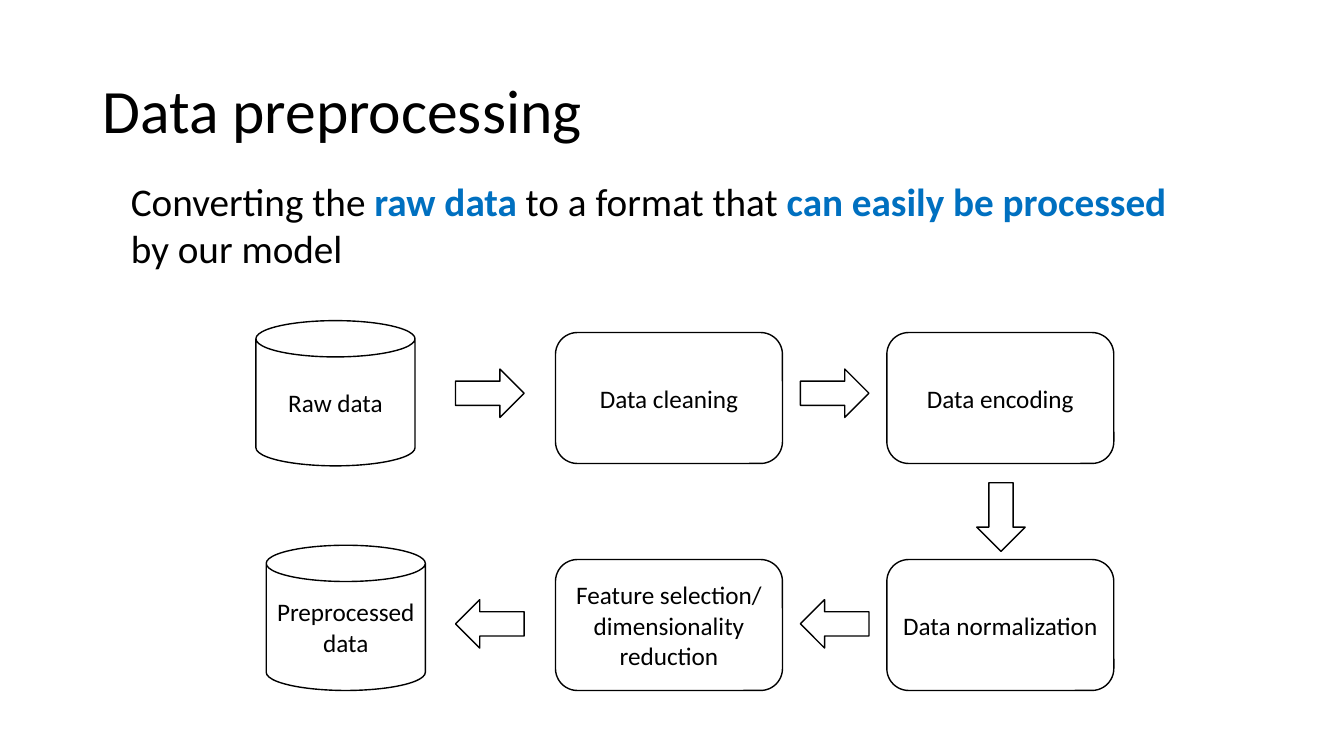
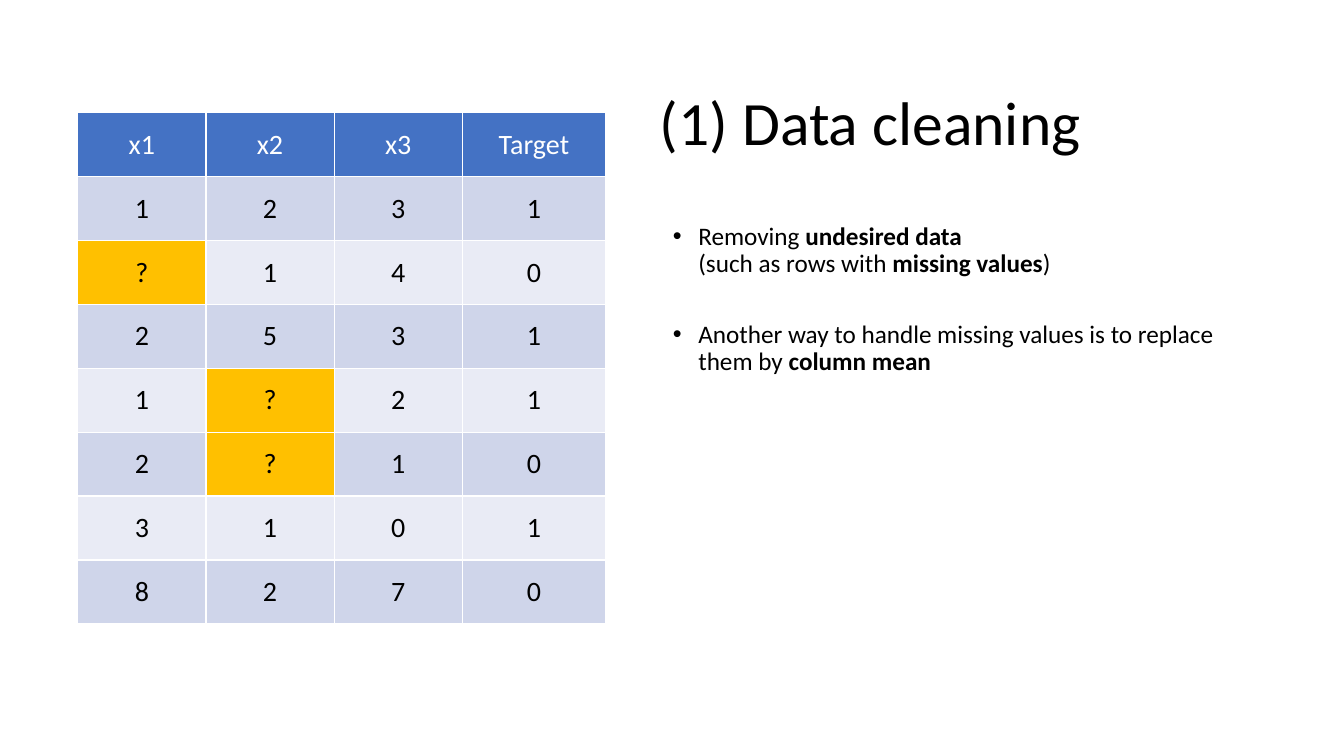
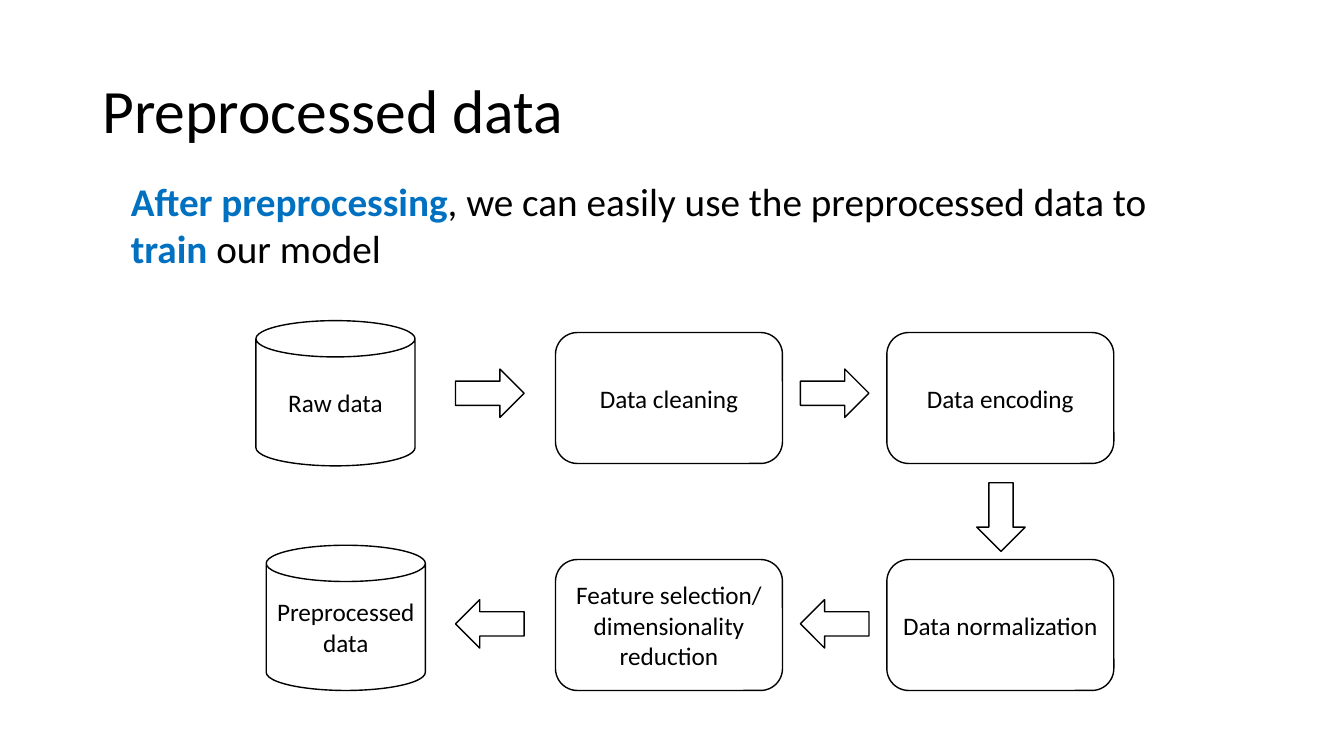
from dataclasses import dataclass

from lxml import etree
from pptx import Presentation
from pptx import util as u
from pptx.dml.color import RGBColor
from pptx.enum import shapes, text
from pptx.oxml.ns import qn

FONT = "Calibri"
COLORS = {
    "black": "000000",
    "white": "FFFFFF",
    "blue": "0070C0",
    "header": "4472C4",
    "band_dark": "CFD5EA",
    "band_light": "E9EBF5",
    "missing": "FFC000",
}
CENTER = text.PP_ALIGN.CENTER
MIDDLE = text.MSO_ANCHOR.MIDDLE
ROUND = shapes.MSO_SHAPE.ROUNDED_RECTANGLE
CAN = shapes.MSO_SHAPE.CAN
ARROW = shapes.MSO_SHAPE.RIGHT_ARROW


@dataclass(frozen=True)
class Box:
    x: float
    y: float
    w: float
    h: float

    def cm(self) -> tuple:
        return tuple(u.Cm(v) for v in (self.x, self.y, self.w, self.h))


@dataclass(frozen=True)
class Node:
    kind: shapes.MSO_SHAPE
    x: float
    y: float
    label: str = ""
    angle: int = 0


SIZES = {ROUND: (5.72, 3.3), CAN: (4.01, 3.66), ARROW: (1.73, 1.22)}
COL_MID, COL_RIGHT = 14.0, 22.35
ROW_TOP, ROW_BOTTOM = 8.38, 14.1
ARROW_COLS = (11.48, 20.17)
ARROW_TOP, ARROW_BOTTOM = 9.3, 15.11

PIPELINE = [
    Node(CAN, 6.45, 8.08, "Raw data"),
    Node(ROUND, COL_MID, ROW_TOP, "Data cleaning"),
    Node(ROUND, COL_RIGHT, ROW_TOP, "Data encoding"),
    Node(ROUND, COL_RIGHT, ROW_BOTTOM, "Data normalization"),
    Node(ROUND, COL_MID, ROW_BOTTOM, "Feature selection/ dimensionality reduction"),
    Node(CAN, 6.71, 13.74, "Preprocessed data"),
    *(Node(ARROW, x, ARROW_TOP) for x in ARROW_COLS),
    Node(ARROW, 24.36, 12.42, angle=90),
    *(Node(ARROW, x, ARROW_BOTTOM, angle=180) for x in ARROW_COLS),
]

TITLE_BOX = Box(2.33, 1.01, 29.21, 3.68)
LEAD_BOX = Box(3.05, 4.34, 26.82, 2.64)
SIDE_TITLE_BOX = Box(16.38, 1.32, 15.16, 3.68)
SIDE_BODY_BOX = Box(16.38, 5.51, 15.16, 11.63)

COL_WIDTHS = (3.23, 3.23, 3.23, 3.61)
ROW_HEIGHT = 1.61
RECORDS = [
    ("x1", "x2", "x3", "Target"),
    ("1", "2", "3", "1"),
    ("?", "1", "4", "0"),
    ("2", "5", "3", "1"),
    ("1", "?", "2", "1"),
    ("2", "?", "1", "0"),
    ("3", "1", "0", "1"),
    ("8", "2", "7", "0"),
]


def rgb(name: str) -> RGBColor:
    return RGBColor.from_string(COLORS[name])


def add_bullet(p) -> None:
    pPr = p._p.get_or_add_pPr()
    pPr.set("marL", str(u.Cm(0.97)))
    pPr.set("indent", str(u.Cm(-0.64)))
    etree.SubElement(pPr, qn("a:buFont"), typeface="Arial")
    etree.SubElement(pPr, qn("a:buChar"), char="•")


def write(tf, *paragraphs: str, size: float = 18, color: str = "black",
          strong: str = "black", align=None, line: float | None = None,
          after: float | None = None, bullet: bool = False) -> None:
    """Text between asterisks is bold, in the colour named by strong."""
    tf.word_wrap = True
    for i, content in enumerate(paragraphs):
        p = tf.add_paragraph() if i else tf.paragraphs[0]
        p.alignment = align
        if line is not None:
            p.line_spacing = line
        if after is not None:
            p.space_after = u.Pt(after)
        if bullet:
            add_bullet(p)
        for j, part in enumerate(content.split("*")):
            for k, piece in enumerate(part.split("\n")):
                if k:
                    p.add_line_break()
                if not piece:
                    continue
                r = p.add_run()
                r.text = piece
                r.font.name = FONT
                r.font.size = u.Pt(size)
                r.font.bold = j % 2 == 1
                r.font.color.rgb = rgb(strong if j % 2 else color)


def add_text(s, box: Box, *paragraphs: str, anchor=text.MSO_ANCHOR.TOP, **fmt) -> None:
    tf = s.shapes.add_textbox(*box.cm()).text_frame
    tf.vertical_anchor = anchor
    write(tf, *paragraphs, **fmt)


def add_title(s, title: str, box: Box = TITLE_BOX) -> None:
    add_text(s, box, title, anchor=MIDDLE, size=44, line=0.9)


def add_node(s, node: Node) -> None:
    box = Box(node.x, node.y, *SIZES[node.kind])
    sp = s.shapes.add_shape(node.kind, *box.cm())
    sp.shadow.inherit = False
    sp.rotation = node.angle
    sp.fill.solid()
    sp.fill.fore_color.rgb = rgb("white")
    sp.line.color.rgb = rgb("black")
    sp.line.width = u.Pt(1)
    if node.label:
        sp.text_frame.vertical_anchor = MIDDLE
        write(sp.text_frame, node.label, align=CENTER)


def pipeline_slide(prs, title: str, lead: str) -> None:
    s = prs.slides.add_slide(prs.slide_layouts[6])
    add_title(s, title)
    for node in PIPELINE:
        add_node(s, node)
    add_text(s, LEAD_BOX, lead, size=28, strong="blue")


def cell_fill(row: int, value: str) -> str:
    if row == 0:
        return "header"
    if value == "?":
        return "missing"
    return "band_dark" if row % 2 else "band_light"


def add_records(s) -> None:
    box = Box(1.96, 2.84, sum(COL_WIDTHS), ROW_HEIGHT * len(RECORDS))
    table = s.shapes.add_table(len(RECORDS), len(COL_WIDTHS), *box.cm()).table
    for col, width in zip(table.columns, COL_WIDTHS):
        col.width = u.Cm(width)
    for i, record in enumerate(RECORDS):
        table.rows[i].height = u.Cm(ROW_HEIGHT)
        for j, value in enumerate(record):
            cell = table.cell(i, j)
            cell.margin_left = cell.margin_right = u.Cm(0.36)
            cell.margin_top = cell.margin_bottom = u.Cm(0.18)
            cell.vertical_anchor = MIDDLE
            cell.fill.solid()
            cell.fill.fore_color.rgb = rgb(cell_fill(i, value))
            write(cell.text_frame, value, size=20, align=CENTER,
                  color="black" if i else "white")


def cleaning_slide(prs) -> None:
    s = prs.slides.add_slide(prs.slide_layouts[6])
    add_title(s, "(1) Data cleaning", SIDE_TITLE_BOX)
    add_text(
        s, SIDE_BODY_BOX,
        "Removing *undesired data*\n(such as rows with *missing values*)",
        "Another way to handle missing values is to replace them by *column mean*",
        line=0.9, after=31, bullet=True,
    )
    add_records(s)


def main() -> None:
    prs = Presentation()
    prs.slide_width, prs.slide_height = u.Cm(33.87), u.Cm(19.05)
    pipeline_slide(
        prs, "Data preprocessing",
        "Converting the *raw data* to a format that *can easily be processed* by our model",
    )
    cleaning_slide(prs)
    pipeline_slide(
        prs, "Preprocessed data",
        "*After preprocessing*, we can easily use the preprocessed data to *train* our model",
    )
    prs.save("out.pptx")


if __name__ == "__main__":
    main()
